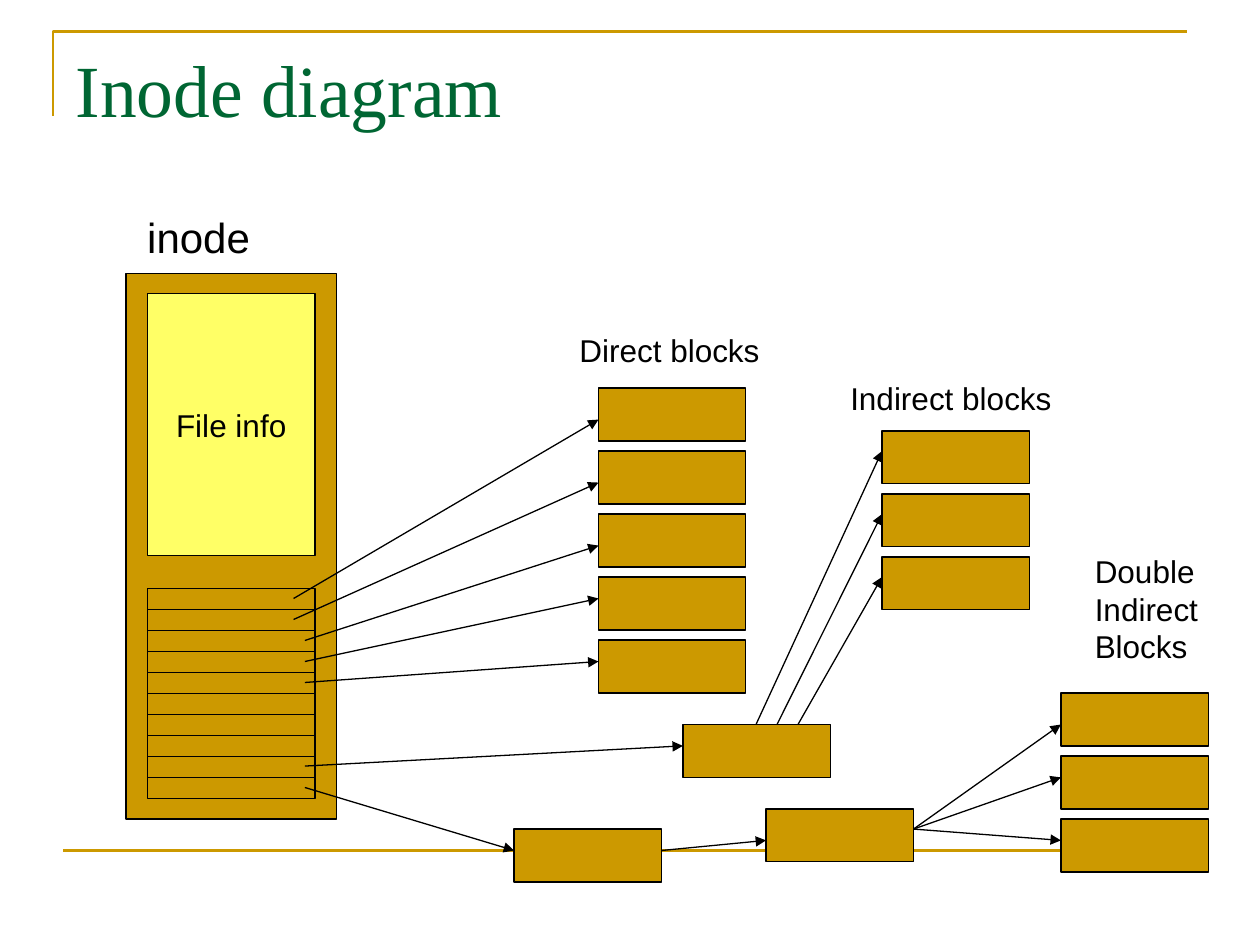
from lxml.etree import SubElement
from pptx import Presentation
from pptx.dml.color import RGBColor
from pptx.enum.shapes import MSO_CONNECTOR, MSO_SHAPE
from pptx.enum.text import MSO_ANCHOR, MSO_AUTO_SIZE, PP_ALIGN
from pptx.oxml.ns import qn
from pptx.util import Inches, Pt

HUES = {"gold": "CC9900", "pale": "FFFF66", "ink": "000000", "green": "006633"}
BLOCK = (1.17, 0.42)
STEP = 0.5
SLOT = 1 / 6


def hue(name):
    return RGBColor.from_string(HUES[name])


class Board:
    def __init__(self, slide):
        self.slide = slide
        self.shapes = slide.shapes

    def style(self, frame, size, font="Arial", color="ink", align=PP_ALIGN.LEFT):
        look = {"name": font, "size": Pt(size), "bold": False}
        for para in frame.paragraphs:
            para.alignment = align
            for key, value in look.items():
                setattr(para.font, key, value)
            para.font.color.rgb = hue(color)

    def stroke(self, shape, color, width):
        shape.line.color.rgb = hue(color)
        shape.line.width = Pt(width)

    def title(self, text, *area):
        head = self.shapes.title
        for key, value in zip(("left", "top", "width", "height"), area):
            setattr(head, key, Inches(value))
        head.text_frame.text = text
        head.text_frame.vertical_anchor = MSO_ANCHOR.TOP
        self.style(head.text_frame, 42, "Times New Roman", "green")

    def corner(self, start, *rest):
        pen = self.shapes.build_freeform(*map(Inches, start))
        pen.add_line_segments([tuple(map(Inches, spot)) for spot in rest], close=False)
        shape = pen.convert_to_shape()
        shape.shadow.inherit = False
        shape.fill.background()
        self.stroke(shape, "gold", 1.5)

    def box(self, *area, fill="gold", text=None):
        shape = self.shapes.add_shape(MSO_SHAPE.RECTANGLE, *map(Inches, area))
        shape.shadow.inherit = False
        shape.fill.solid()
        shape.fill.fore_color.rgb = hue(fill)
        self.stroke(shape, "ink", 0.75)
        if text:
            frame = shape.text_frame
            frame.text = text
            frame.word_wrap = False
            frame.vertical_anchor = MSO_ANCHOR.MIDDLE
            self.style(frame, 18, align=PP_ALIGN.CENTER)

    def stack(self, left, top, count):
        for row in range(count):
            self.box(left, top + row * STEP, *BLOCK)

    def label(self, text, *area, size=18):
        frame = self.shapes.add_textbox(*map(Inches, area)).text_frame
        frame.text = text
        frame.word_wrap = True
        frame.auto_size = MSO_AUTO_SIZE.SHAPE_TO_FIT_TEXT
        self.style(frame, size)

    def line(self, start, end, color="ink", width=0.75, arrow=True):
        link = self.shapes.add_connector(
            MSO_CONNECTOR.STRAIGHT, *map(Inches, (*start, *end)))
        self.stroke(link, color, width)
        if arrow:
            SubElement(link.line._get_or_add_ln(), qn("a:tailEnd"), type="triangle")
        SubElement(link._element.spPr, qn("a:effectLst"))


def main():
    deck = Presentation()
    deck.slide_width, deck.slide_height = Inches(10), Inches(7.5)
    board = Board(deck.slides.add_slide(deck.slide_layouts[5]))

    board.corner((0.42, 0.92), (0.42, 0.25), (9.42, 0.25))
    board.line((0.5, 6.75), (9.5, 6.75), "gold", 1.5, arrow=False)
    board.title("Inode diagram", 0.5, 0.3, 9, 1.25)

    # Inode with its file info and pointer slots
    board.box(1, 2.17, 1.67, 4.33)
    board.label("inode", 1.07, 1.63, 1.1, 0.5, size=24)
    board.box(1.17, 2.33, 1.33, 2.08, fill="pale", text="File info")
    for row in range(10):
        board.box(1.17, 4.67 + row * SLOT, 1.33, SLOT)

    # Data blocks, then the blocks that hold pointers
    board.stack(4.75, 3.08, 5)
    board.stack(7, 3.42, 3)
    board.stack(8.42, 5.5, 3)
    for left, top in ((5.42, 5.75), (6.08, 6.42), (4.08, 6.58)):
        board.box(left, top, *BLOCK)

    board.label("Direct blocks", 4.5, 2.58, 1.7, 0.4)
    board.label("Indirect blocks", 6.65, 2.96, 1.9, 0.4)
    board.label("Double\nIndirect\nBlocks", 8.59, 4.33, 1.15, 1)

    # Direct pointers
    starts = (2.33, 2.33, 2.42, 2.42, 2.42)
    ends = (3.33, 3.83, 4.33, 4.75, 5.25)
    for row, (left, end) in enumerate(zip(starts, ends)):
        board.line((left, 4.75 + row * SLOT), (4.75, end))

    # Single indirect pointers
    board.line((2.42, 6.08), (5.42, 5.92))
    for row in range(3):
        board.line((6 + row * SLOT, 5.75), (7, 3.58 + row * STEP))

    # Double indirect pointers
    board.line((2.42, 6.25), (4.08, 6.75))
    board.line((5.25, 6.75), (6.08, 6.67))
    for end in (5.75, 6.17, 6.67):
        board.line((7.25, 6.58), (8.42, end))

    deck.save("out.pptx")


if __name__ == "__main__":
    main()
